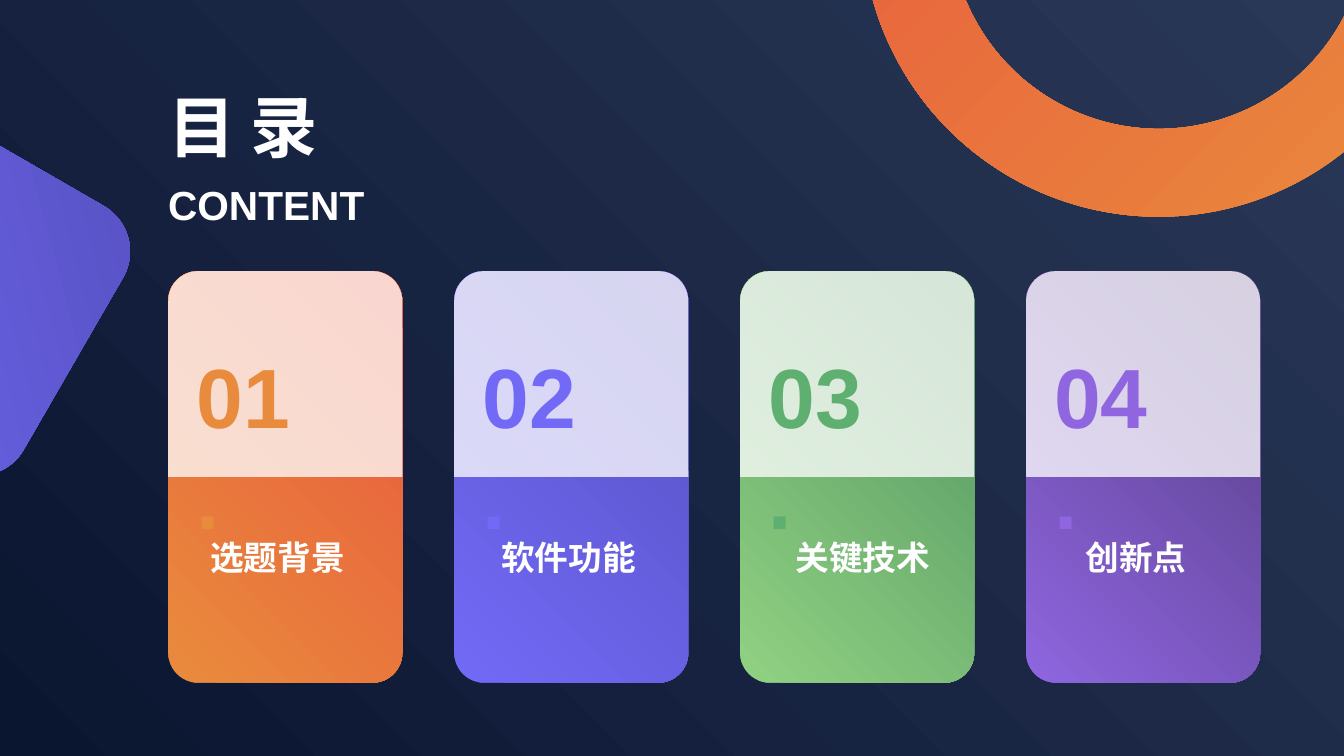
import pptx
import pptx.dml.color
import pptx.enum.dml
import pptx.enum.shapes
import pptx.enum.text
import pptx.oxml
import pptx.oxml.ns
import pptx.util

Pt = pptx.util.Pt
Shape = pptx.enum.shapes.MSO_SHAPE
CJK = "Noto Sans CJK SC"
LATIN = "Arial"
WHITE = "FFFFFF"
ORANGE = ("E98B3D", "E8573D")
INDIGO = ("726AF6", "5751C2")

CARD_LEFT, CARD_TOP, CARD_WIDTH, CARD_HEIGHT = 120.2, 193.7, 167.2, 294
CARD_PITCH = 204.25
CORNER = 21.3

# number, topic, topic indent, number colour, gradient
CARDS = [
    ("01.", "选题背景", 23, "E98B3D", ORANGE),
    ("02.", "软件功能", 26.5, "726AF6", INDIGO),
    ("03.", "关键技术", 32.5, "5EAF70", ("91D183", "529561")),
    ("04.", "创新点", 35.5, "8F66E0", ("8F66E0", "553D83")),
]


def rgb(color):
    return pptx.dml.color.RGBColor.from_string(color)


def fill_gradient(fill, colors, angle=45):
    """Blend two colours along an angle measured counter-clockwise."""
    fill.gradient()
    fill.gradient_angle = angle
    for stop, color in zip(fill.gradient_stops, colors):
        stop.color.rgb = rgb(color)


def add_preset(shapes, preset, box, adjustment):
    """Add an outline-free preset shape and return it unfilled."""
    shape = shapes.add_shape(preset, *map(Pt, box))
    shape.adjustments[0] = adjustment
    shape.shadow.inherit = False
    shape.line.fill.background()
    return shape


def write_text(holder, text, box, size, font=LATIN, color=WHITE):
    """Place a text holder and give it one bold, left-aligned line."""
    holder.left, holder.top, holder.width, holder.height = map(Pt, box)
    frame = holder.text_frame
    frame.word_wrap = True
    frame.auto_size = pptx.enum.text.MSO_AUTO_SIZE.NONE
    frame.vertical_anchor = pptx.enum.text.MSO_ANCHOR.TOP
    paragraph = frame.paragraphs[0]
    paragraph.alignment = pptx.enum.text.PP_ALIGN.LEFT
    run = paragraph.add_run()
    run.text = text
    run.font.size = Pt(size)
    run.font.bold = True
    run.font.name = font
    run.font.color.rgb = rgb(color)
    east_asian = pptx.oxml.parse_xml(
        f'<a:ea {pptx.oxml.ns.nsdecls("a")} typeface="{font}"/>')
    run.font._element.find(pptx.oxml.ns.qn("a:latin")).addnext(east_asian)


def add_text(shapes, text, box, **text_format):
    write_text(shapes.add_textbox(*map(Pt, box)), text, box, **text_format)


def fill_translucent_white(shape, percent):
    shape.fill.solid()
    shape.fill.fore_color.rgb = rgb(WHITE)
    color = shape.fill._xPr.find(".//" + pptx.oxml.ns.qn("a:srgbClr"))
    color.append(pptx.oxml.parse_xml(
        f'<a:alpha {pptx.oxml.ns.nsdecls("a")} val="{percent * 1000}"/>'))


def add_backdrop(slide):
    fill_gradient(slide.background.fill, ("0A1530", "2A3858"))
    tile = add_preset(slide.shapes, Shape.ROUNDED_RECTANGLE,
                      (-149.8, 97.2, 216.7, 216.7), 0.173)
    tile.rotation = 30
    fill_gradient(tile.fill, INDIGO)
    ring = add_preset(slide.shapes, Shape.DONUT,
                      (615.6, -269.3, 424.1, 424.1), 0.148)
    fill_gradient(ring.fill, ORANGE, angle=135)


def add_heading(slide, left, top):
    write_text(slide.shapes.title, "目 录", (left, top, 179.3, 65.5),
               size=48, font=CJK)
    add_text(slide.shapes, "CONTENT", (left, top + 67, 188.6, 43.9), size=29)


def add_card(slide, box, number, topic, indent, accent, colors):
    left, top, width, height = box
    shapes = slide.shapes.add_group_shape().shapes
    body = add_preset(shapes, Shape.ROUNDED_RECTANGLE, box, CORNER / width)
    fill_gradient(body.fill, colors)
    half = height / 2
    veil = add_preset(shapes, Shape.ROUND_2_SAME_RECTANGLE,
                      (left, top, width, half), CORNER / half)
    fill_translucent_white(veil, 76)
    add_text(shapes, topic, (left + indent, top + 186.3, 118.8, 36),
             size=24, font=CJK)
    add_text(shapes, number, (left + 13, top + 49, 94.3, 80),
             size=60, color=accent)


def main():
    deck = pptx.Presentation()
    deck.slide_width, deck.slide_height = Pt(960), Pt(540)
    slide = deck.slides.add_slide(deck.slide_layouts.get_by_name("Title Only"))
    add_backdrop(slide)
    add_heading(slide, 113, 57.6)
    for index, card in enumerate(CARDS):
        left = CARD_LEFT + index * CARD_PITCH
        add_card(slide, (left, CARD_TOP, CARD_WIDTH, CARD_HEIGHT), *card)
    deck.save("out.pptx")


if __name__ == "__main__":
    main()
